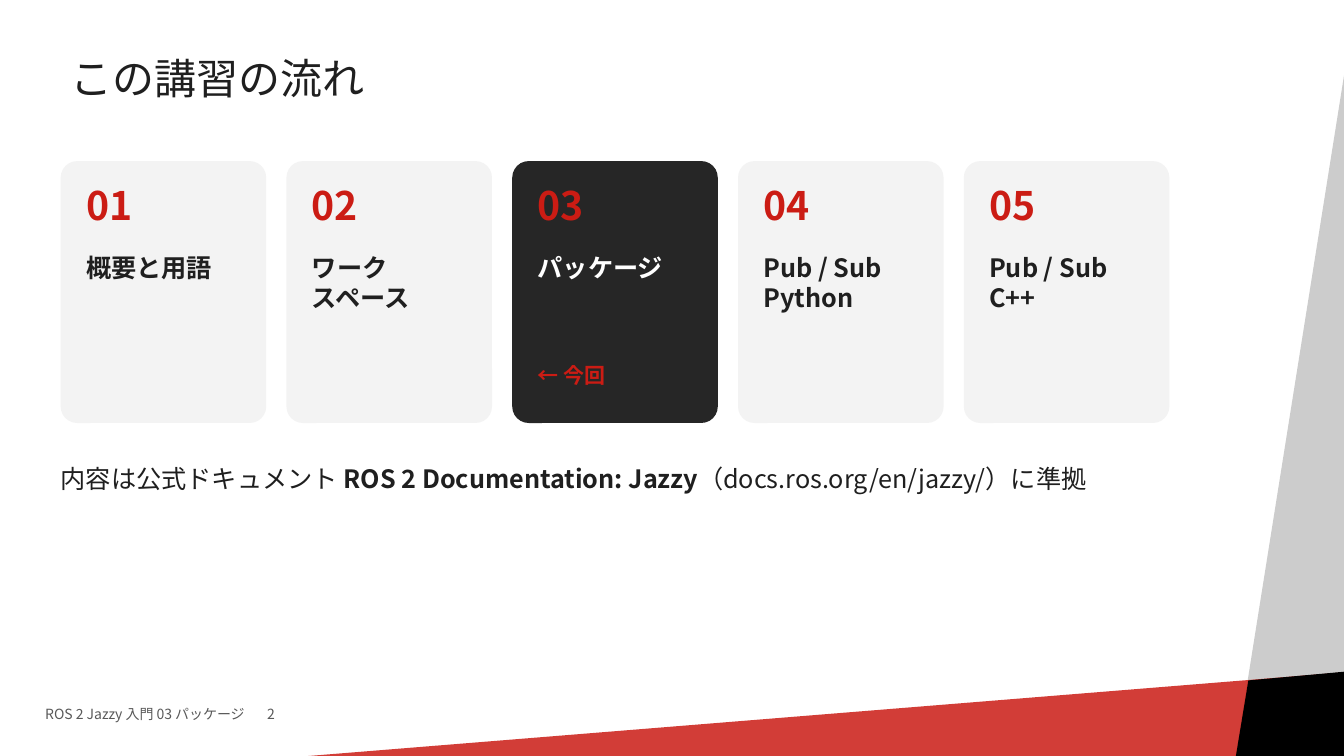
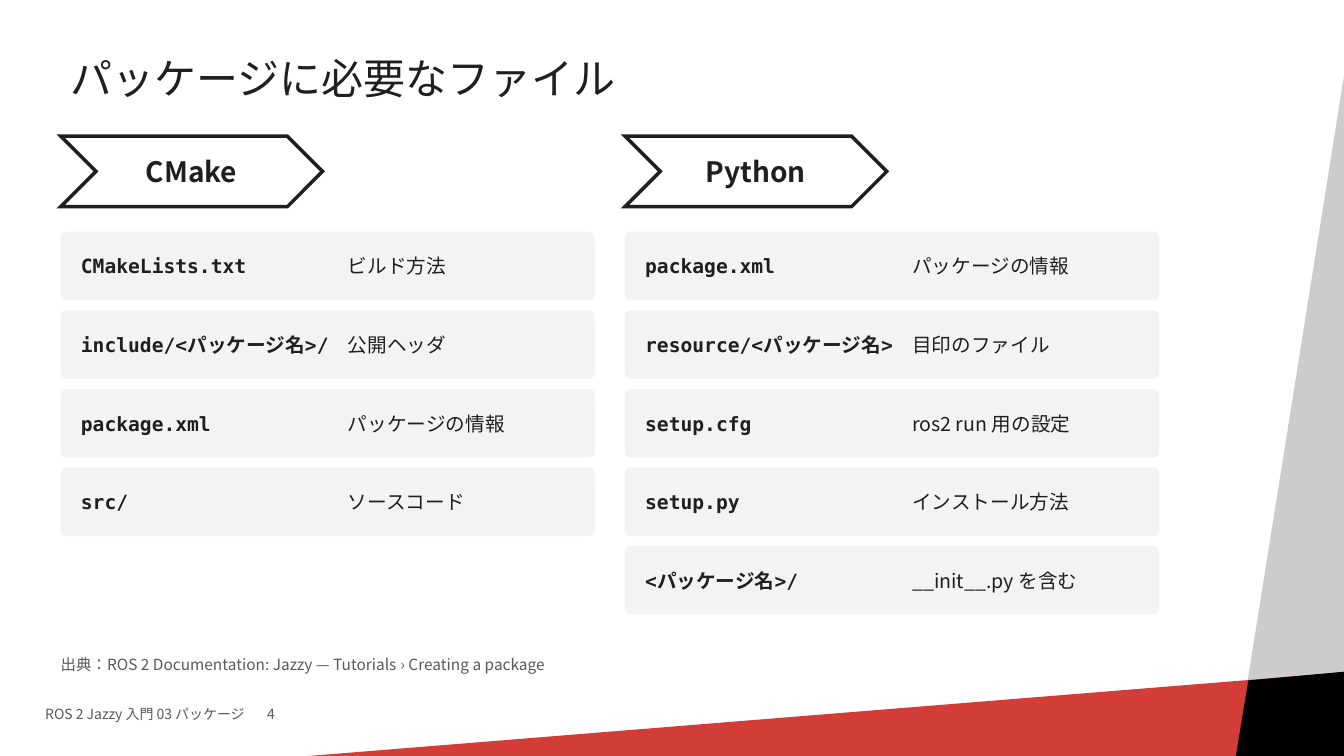
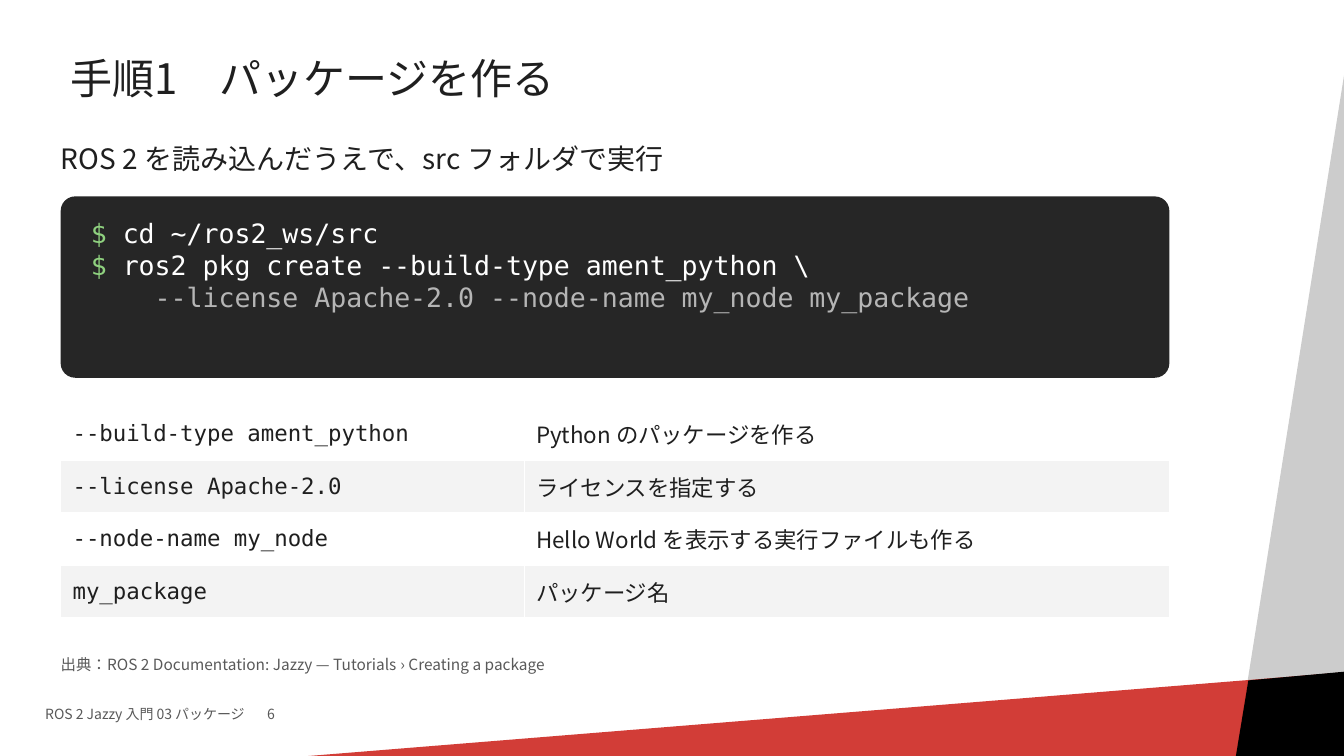
from lxml import etree
from pptx import Presentation
from pptx import util as u
from pptx.dml.color import RGBColor
from pptx.enum import lang, shapes as sh, text as tx
from pptx.oxml import ns

INK = RGBColor(0x1F, 0x1F, 0x1F)
RED = RGBColor(0xCB, 0x1C, 0x14)
GREY = RGBColor(0x59, 0x59, 0x59)
PALE = RGBColor(0xF3, 0xF3, 0xF3)
DARK = RGBColor(0x26, 0x26, 0x26)
SILVER = RGBColor(0xCC, 0xCC, 0xCC)
MIST = RGBColor(0xB5, 0xB5, 0xB5)
GREEN = RGBColor(0x8F, 0xD1, 0x7F)
WHITE = RGBColor(0xFF, 0xFF, 0xFF)
BLACK = RGBColor(0, 0, 0)
SANS, MONO = "Noto Sans CJK JP", "DejaVu Sans Mono"
BASE = dict(name=SANS, size=18, bold=False, color=INK,
            language_id=lang.MSO_LANGUAGE_ID.JAPANESE)
MIDDLE = tx.MSO_ANCHOR.MIDDLE
FORM = sh.MSO_SHAPE
WIDE, HIGH = 33.87, 19.05
LEFT, FULL = 1.53, 27.94
CREDIT = "出典：ROS 2 Documentation: Jazzy — Tutorials › Creating a package"


def style(run, form):
    """Set the font of a run from a dict of format values."""
    for key, value in form.items():
        if key == "color":
            run.font.color.rgb = value
        else:
            setattr(run.font, key, u.Pt(value) if key == "size" else value)
    etree.SubElement(run.font._element, ns.qn("a:ea"), typeface=SANS)


def write(frame, lines, margins=(0, 0), anchor=tx.MSO_ANCHOR.TOP, **form):
    """Fill a text frame; a line is a string or a list of (text, format) runs."""
    side, edge = (u.Cm(m) for m in margins)
    setup = dict(word_wrap=True, vertical_anchor=anchor, margin_left=side,
                 margin_right=side, margin_top=edge, margin_bottom=edge)
    for key, value in setup.items():
        setattr(frame, key, value)
    for i, line in enumerate(lines):
        para = frame.add_paragraph() if i else frame.paragraphs[0]
        for words, extra in [(line, {})] if isinstance(line, str) else line:
            run = para.add_run()
            run.text = words
            style(run, {**BASE, **form, **extra})
    return frame.paragraphs[0]


def label(slide, box, *lines, **form):
    """Add a text box at a box given in centimetres."""
    area = slide.shapes.add_textbox(*map(u.Cm, box))
    return write(area.text_frame, lines, **form)


def paint(slide, kind, box, fill, line=None):
    """Add a preset shape with a flat fill and an optional sharp outline."""
    shape = slide.shapes.add_shape(kind, *map(u.Cm, box))
    shape.shadow.inherit = False
    shape.fill.solid()
    shape.fill.fore_color.rgb = fill
    if line:
        shape.line.color.rgb = line
        shape.line.width = u.Pt(2.5)
        etree.SubElement(shape.line._ln, ns.qn("a:miter"), lim="800000")
    else:
        shape.line.fill.background()
    return shape


def panel(slide, box, fill):
    """Add a rounded panel."""
    shape = paint(slide, FORM.ROUNDED_RECTANGLE, box, fill)
    shape.adjustments[0] = 0.08


def bands(slide):
    """Draw the slanted bands at the right and bottom edges."""
    side = paint(slide, FORM.RECTANGLE, (15.98, 15.93, 34.72, 3.99), SILVER)
    side.rotation = 279.05
    base = paint(slide, FORM.RECTANGLE, (1.5, 18.16, 34.72, 2.92), RED)
    base.rotation = 355.38
    tint = base._element.spPr.find(".//" + ns.qn("a:srgbClr"))
    etree.SubElement(tint, ns.qn("a:alpha"), val="85000")
    corner = paint(slide, FORM.PARALLELOGRAM, (30.81, 16.99, 4.88, 3), BLACK)
    corner.adjustments[0] = 0.26
    corner.rotation = 354.8


def start(deck, title, page, credit=None):
    """Add a blank slide with bands, title, footer and optional credit."""
    slide = deck.slides.add_slide(deck.slide_layouts[6])
    bands(slide)
    head = label(slide, (LEFT, 0.89, 26.42, 2.29), title, size=30,
                 margins=(0.25, 0.13), anchor=MIDDLE)
    head.line_spacing = 0.9
    foot = label(slide, (1.14, 17.78, 11.43, 0.76),
                 f"ROS 2 Jazzy 入門 03 パッケージ\t{page}", size=10, color=GREY)
    tabs = etree.SubElement(foot._p.get_or_add_pPr(), ns.qn("a:tabLst"))
    etree.SubElement(tabs, ns.qn("a:tab"), pos=str(u.Cm(5.59)), algn="l")
    if credit:
        label(slide, (LEFT, 16.51, 24.13, 0.76), credit, size=11, color=GREY)
    return slide


def card(slide, box, num, lines, note=None):
    """Draw one numbered card, dark when it carries a note."""
    x, y = box[:2]
    x += 0.64
    panel(slide, box, DARK if note else PALE)
    label(slide, (x, y + 0.51, 4.06, 1.52), num, size=28, bold=True, color=RED)
    label(slide, (x, y + 2.29, 4.32, 2.54), *lines, bold=True,
          color=WHITE if note else INK)
    if note:
        label(slide, (x, y + 5.08, 4.32, 1.02), note, size=15, bold=True, color=RED)


def column(slide, box, name, rows):
    """Draw a chevron heading with file rows below it."""
    x, y, wide, high = box
    arrow = paint(slide, FORM.CHEVRON, (x, y, 6.6, 1.78), WHITE, INK)
    head = write(arrow.text_frame, [name], margins=(0, 0.13), anchor=MIDDLE,
                 size=20, bold=True)
    head.alignment = tx.PP_ALIGN.CENTER
    for i, (file, use) in enumerate(rows):
        top = y + 2.41 + i * 1.98
        panel(slide, (x, top, wide, high), PALE)
        label(slide, (x + 0.51, top, 6.6, high), file, name=MONO, size=14,
              bold=True, anchor=MIDDLE)
        label(slide, (x + 7.24, top, 6.1, high), use, size=14, anchor=MIDDLE)


def shell(slide, box, lines):
    """Draw a dark panel of commands."""
    x, y, wide, high = box
    panel(slide, box, DARK)
    label(slide, (x + 0.76, y + 0.51, wide - 1.52, high - 1.02), *lines,
          name=MONO, size=19, color=WHITE)


def grid(slide, box, rows):
    """Add a table of options with alternating fills."""
    table = slide.shapes.add_table(len(rows), 2, *map(u.Cm, box)).table
    for col, wide in zip(table.columns, (11.68, 16.26)):
        col.width = u.Cm(wide)
    for i, row in enumerate(rows):
        for j, words in enumerate(row):
            cell = table.cell(i, j)
            cell.fill.solid()
            cell.fill.fore_color.rgb = PALE if i % 2 else WHITE
            cell.vertical_anchor = MIDDLE
            cell.margin_left = cell.margin_right = u.Cm(0.3)
            run = cell.text_frame.paragraphs[0].add_run()
            run.text = words
            style(run, {**BASE, "size": 16, "name": SANS if j else MONO})


def agenda(deck):
    """Build the slide on the course outline."""
    slide = start(deck, "この講習の流れ", 2)
    topics = [["概要と用語"], ["ワーク", "スペース"], ["パッケージ"],
              ["Pub / Sub", "Python"], ["Pub / Sub", "C++"]]
    for i, lines in enumerate(topics):
        card(slide, (LEFT + i * 5.69, 4.06, 5.18, 6.6), f"{i + 1:02}", lines,
             "← 今回" if i == 2 else None)
    label(slide, (LEFT, 11.68, FULL, 1.27), [
        ("内容は公式ドキュメント ", {}),
        ("ROS 2 Documentation: Jazzy", dict(bold=True)),
        ("（docs.ros.org/en/jazzy/）に準拠", {})])


def files(deck):
    """Build the slide on the files a package needs."""
    slide = start(deck, "パッケージに必要なファイル", 4, CREDIT)
    kinds = {
        "CMake": [("CMakeLists.txt", "ビルド方法"),
                  ("include/<パッケージ名>/", "公開ヘッダ"),
                  ("package.xml", "パッケージの情報"),
                  ("src/", "ソースコード")],
        "Python": [("package.xml", "パッケージの情報"),
                   ("resource/<パッケージ名>", "目印のファイル"),
                   ("setup.cfg", "ros2 run 用の設定"),
                   ("setup.py", "インストール方法"),
                   ("<パッケージ名>/", "__init__.py を含む")],
    }
    for i, (name, rows) in enumerate(kinds.items()):
        column(slide, (LEFT + i * 14.22, 3.43, 13.46, 1.73), name, rows)


def create(deck):
    """Build the slide on making a package."""
    slide = start(deck, "手順1　パッケージを作る", 6, CREDIT)
    label(slide, (LEFT, 3.56, FULL, 1.27),
          "ROS 2 を読み込んだうえで、src フォルダで実行", size=20)
    prompt = ("$ ", dict(color=GREEN))
    shell(slide, (LEFT, 4.95, FULL, 4.57), [
        [prompt, ("cd ~/ros2_ws/src", {})],
        [prompt, ("ros2 pkg create --build-type ament_python \\", {})],
        [("    --license Apache-2.0 --node-name my_node my_package",
          dict(color=MIST))]])
    grid(slide, (LEFT, 10.28, FULL, 5.28), [
        ("--build-type ament_python", "Python のパッケージを作る"),
        ("--license Apache-2.0", "ライセンスを指定する"),
        ("--node-name my_node", "Hello World を表示する実行ファイルも作る"),
        ("my_package", "パッケージ名")])


def main():
    """Build and save the deck."""
    deck = Presentation()
    deck.slide_width, deck.slide_height = u.Cm(WIDE), u.Cm(HIGH)
    for build in (agenda, files, create):
        build(deck)
    deck.save("out.pptx")


if __name__ == "__main__":
    main()
